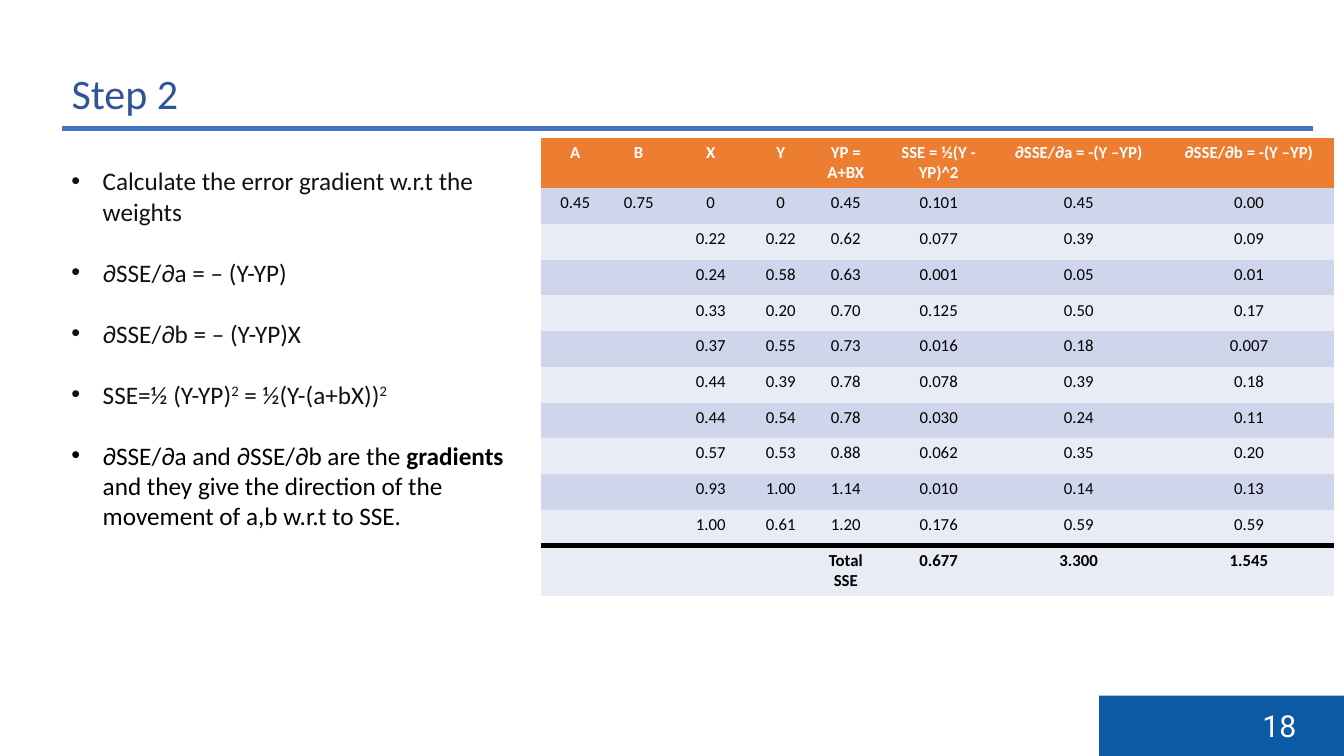
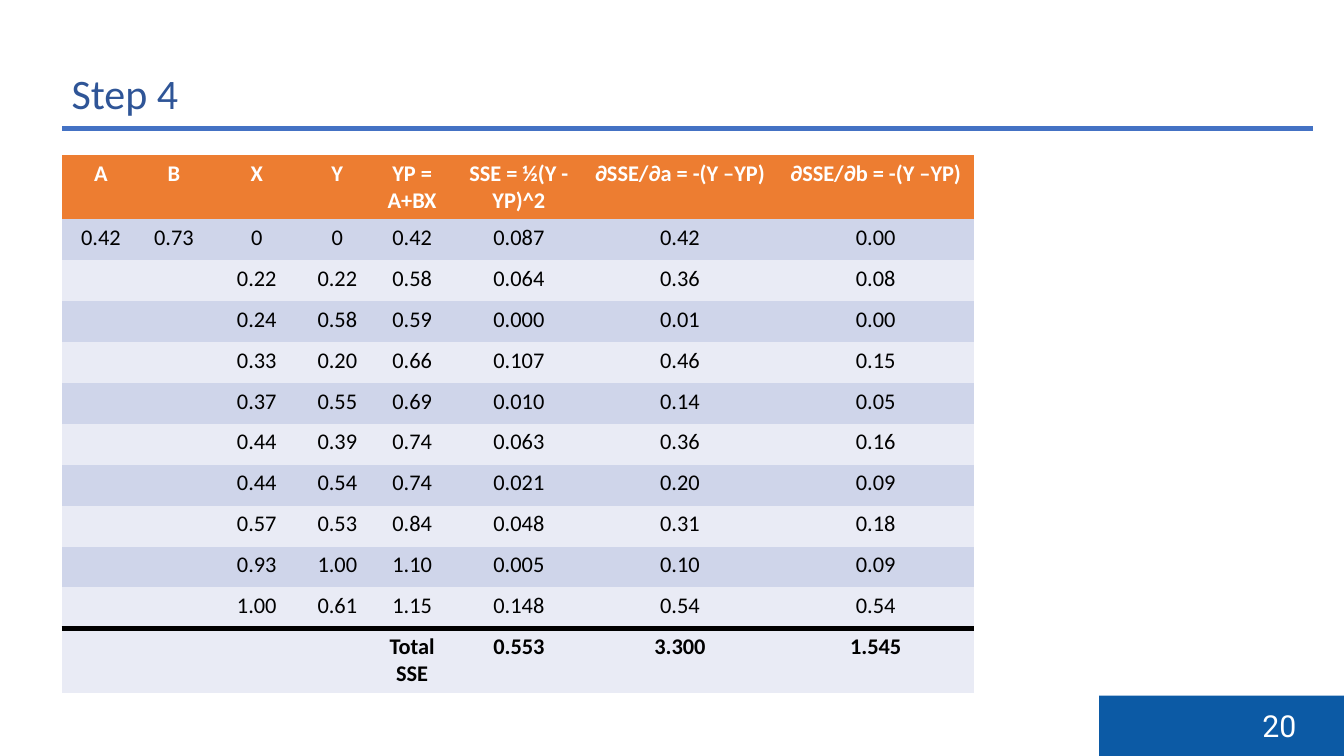
from lxml import etree
from pptx import Presentation
from pptx.dml.color import RGBColor
from pptx.enum.shapes import MSO_SHAPE
from pptx.enum.text import MSO_ANCHOR, PP_ALIGN
from pptx.oxml.ns import qn
from pptx.util import Cm, Pt

RECTANGLE = MSO_SHAPE.RECTANGLE
MIDDLE, TOP = MSO_ANCHOR.MIDDLE, MSO_ANCHOR.TOP
LEFT, CENTER, RIGHT = PP_ALIGN.LEFT, PP_ALIGN.CENTER, PP_ALIGN.RIGHT

WHITE, BLACK, INK = "FFFFFF", "000000", "111111"
TITLE_BLUE, RULE_BLUE, BAND_BLUE = "2F5597", "4472C4", "0C5AA5"
HEADER_ORANGE, ROW_DARK, ROW_LIGHT = "ED7D31", "CFD5EA", "E9EBF5"
BODY_FONT, NUMBER_FONT = "Calibri", "Roboto"
PLAIN_TABLE_STYLE = "{2D5ABB26-0587-4C30-8999-92F81FD0307C}"

SLIDE_WIDTH, SLIDE_HEIGHT = 33.87, 19.05
MARGIN, CONTENT_WIDTH = 1.55, 31.55

HEADINGS = ("A", "B", "X", "Y", "YP = A+BX", "SSE = ½(Y - YP)^2",
            "∂SSE/∂a = -(Y –YP)", "∂SSE/∂b = -(Y –YP)")
COLUMN_WIDTHS = (1.73, 1.47, 2.16, 1.37, 1.91, 2.77, 4.29, 4.29)
X_VALUES = "0 0.22 0.24 0.33 0.37 0.44 0.44 0.57 0.93 1.00".split()
Y_VALUES = "0 0.22 0.58 0.20 0.55 0.39 0.54 0.53 1.00 0.61".split()

# YP, SSE, gradient for a, gradient for b
STEP_2_RESULTS = (
    "0.45 0.62 0.63 0.70 0.73 0.78 0.78 0.88 1.14 1.20",
    "0.101 0.077 0.001 0.125 0.016 0.078 0.030 0.062 0.010 0.176",
    "0.45 0.39 0.05 0.50 0.18 0.39 0.24 0.35 0.14 0.59",
    "0.00 0.09 0.01 0.17 0.007 0.18 0.11 0.20 0.13 0.59",
)
STEP_4_RESULTS = (
    "0.42 0.58 0.59 0.66 0.69 0.74 0.74 0.84 1.10 1.15",
    "0.087 0.064 0.000 0.107 0.010 0.063 0.021 0.048 0.005 0.148",
    "0.42 0.36 0.01 0.46 0.14 0.36 0.20 0.31 0.10 0.54",
    "0.00 0.08 0.00 0.15 0.05 0.16 0.09 0.18 0.09 0.54",
)

# Each bullet is a list of (text, style) runs
BULLETS = (
    [("Calculate the error gradient w.r.t the weights", "")],
    [("∂SSE/∂a = – (Y-YP)", "")],
    [("∂SSE/∂b = – (Y-YP)X", "")],
    [("SSE=½ (Y-YP)", ""), ("2", "super"),
     (" = ½(Y-(a+bX))", ""), ("2", "super")],
    [("∂SSE/∂a and ∂SSE/∂b are the ", "black"), ("gradients", "bold"),
     (" and they give the direction of the movement of a,b w.r.t to SSE.",
      "black")],
)


def color(hex_text):
    return RGBColor.from_string(hex_text)


def add_span(para, text, size, hue, font=BODY_FONT, bold=False):
    span = para.add_run()
    span.text = text
    span.font.name = font
    span.font.size = Pt(size)
    span.font.bold = bold
    span.font.color.rgb = color(hue)
    return span


def add_block(page, left, top, width, height, hue):
    block = page.shapes.add_shape(RECTANGLE, Cm(left), Cm(top),
                                  Cm(width), Cm(height))
    block.shadow.inherit = False
    block.fill.solid()
    block.fill.fore_color.rgb = color(hue)
    block.line.fill.background()
    return block


def add_title(page, text):
    title = page.shapes.title
    title.left, title.top = Cm(MARGIN), Cm(1.57)
    title.width, title.height = Cm(CONTENT_WIDTH), Cm(1.55)
    title.text_frame.vertical_anchor = MIDDLE
    para = title.text_frame.paragraphs[0]
    para.alignment = LEFT
    add_span(para, text, 30, TITLE_BLUE)

    rule = add_block(page, MARGIN, 3.15, CONTENT_WIDTH, 0.18, RULE_BLUE)
    rule.line.color.rgb = color(WHITE)
    rule.line.width = Pt(1)


def add_number_band(page, number):
    width, height = 6.17, 1.52
    band = add_block(page, SLIDE_WIDTH - width, SLIDE_HEIGHT - height,
                     width, height, BAND_BLUE)
    frame = band.text_frame
    frame.margin_right = Cm(1.2)
    frame.vertical_anchor = MIDDLE
    para = frame.paragraphs[0]
    para.alignment = RIGHT
    add_span(para, str(number), 21.6, WHITE, NUMBER_FONT)


def start_page(deck, title, number):
    page = deck.slides.add_slide(deck.slide_layouts[5])
    add_title(page, title)
    add_number_band(page, number)
    return page


def add_bullet(para):
    props = para._p.get_or_add_pPr()
    props.set("marL", str(Cm(0.79)))
    props.set("indent", str(-Cm(0.79)))
    etree.SubElement(props, qn("a:buFont")).set("typeface", "Arial")
    etree.SubElement(props, qn("a:buChar")).set("char", "•")


def add_bullets(page, left, top, width, height):
    box = page.shapes.add_textbox(Cm(left), Cm(top), Cm(width), Cm(height))
    frame = box.text_frame
    frame.word_wrap = True
    for index, runs in enumerate(BULLETS):
        para = frame.add_paragraph() if index else frame.paragraphs[0]
        add_bullet(para)
        if index:
            para.space_before = Pt(22)
        for text, style in runs:
            hue = BLACK if style in ("black", "bold") else INK
            span = add_span(para, text, 18, hue, bold=style == "bold")
            if style == "super":
                span.font._element.set("baseline", "30000")


def table_rows(a, b, results, totals):
    """Join headings, data columns and totals into rows of text."""
    count = len(X_VALUES)
    blanks = [""] * (count - 1)
    columns = [[a] + blanks, [b] + blanks, X_VALUES, Y_VALUES]
    columns += [column.split() for column in results]
    return [HEADINGS, *zip(*columns), ("", "", "", "", "Total SSE", *totals)]


def add_top_border(cell):
    line = etree.Element(qn("a:lnT"), w=str(Pt(4)))
    fill = etree.SubElement(line, qn("a:solidFill"))
    etree.SubElement(fill, qn("a:srgbClr")).set("val", BLACK)
    cell._tc.get_or_add_tcPr().insert(0, line)


def fill_cell(cell, text, size, fill, hue, bold):
    cell.fill.solid()
    cell.fill.fore_color.rgb = color(fill)
    cell.vertical_anchor = TOP
    cell.margin_left = cell.margin_right = Cm(0.22)
    cell.margin_top = cell.margin_bottom = Cm(0.12)
    para = cell.text_frame.paragraphs[0]
    para.alignment = CENTER
    if text:
        add_span(para, text, size, hue, bold=bold)
    else:
        end = etree.SubElement(para._p, qn("a:endParaRPr"))
        end.set("sz", str(size * 100))


def add_gradient_table(page, left, top, rows, size, scale, tall, short):
    """Tall is the height of the two-line first and last rows."""
    widths = [Cm(width * scale) for width in COLUMN_WIDTHS]
    last = len(rows) - 1
    heights = [Cm(tall if index in (0, last) else short)
               for index in range(len(rows))]
    frame = page.shapes.add_table(len(rows), len(widths), Cm(left), Cm(top),
                                  sum(widths), sum(heights))
    table = frame.table
    table.first_row = table.horz_banding = False
    table._tbl.tblPr.find(qn("a:tableStyleId")).text = PLAIN_TABLE_STYLE
    for column, width in zip(table.columns, widths):
        column.width = width
    for index, values in enumerate(rows):
        table.rows[index].height = heights[index]
        if index == 0:
            fill, hue = HEADER_ORANGE, WHITE
        else:
            hue = BLACK
            fill = ROW_DARK if index % 2 and index < last else ROW_LIGHT
        for cell, text in zip(table.rows[index].cells, values):
            fill_cell(cell, text, size, fill, hue, index in (0, last))
            if index == last:
                add_top_border(cell)


def build_step_2(deck):
    page = start_page(deck, "Step 2", 18)
    rows = table_rows("0.45", "0.75", STEP_2_RESULTS,
                      ("0.677", "3.300", "1.545"))
    add_gradient_table(page, 13.63, 3.47, rows, size=12, scale=1,
                       tall=1.26, short=0.9)
    add_bullets(page, MARGIN, 4.05, 12.09, 9.25)


def build_step_4(deck):
    page = start_page(deck, "Step 4", 20)
    rows = table_rows("0.42", "0.73", STEP_4_RESULTS,
                      ("0.553", "3.300", "1.545"))
    add_gradient_table(page, MARGIN, 3.91, rows, size=16, scale=1.15,
                       tall=1.62, short=1.03)


def main():
    deck = Presentation()
    deck.slide_width, deck.slide_height = Cm(SLIDE_WIDTH), Cm(SLIDE_HEIGHT)
    build_step_2(deck)
    build_step_4(deck)
    deck.save("out.pptx")


if __name__ == "__main__":
    main()
